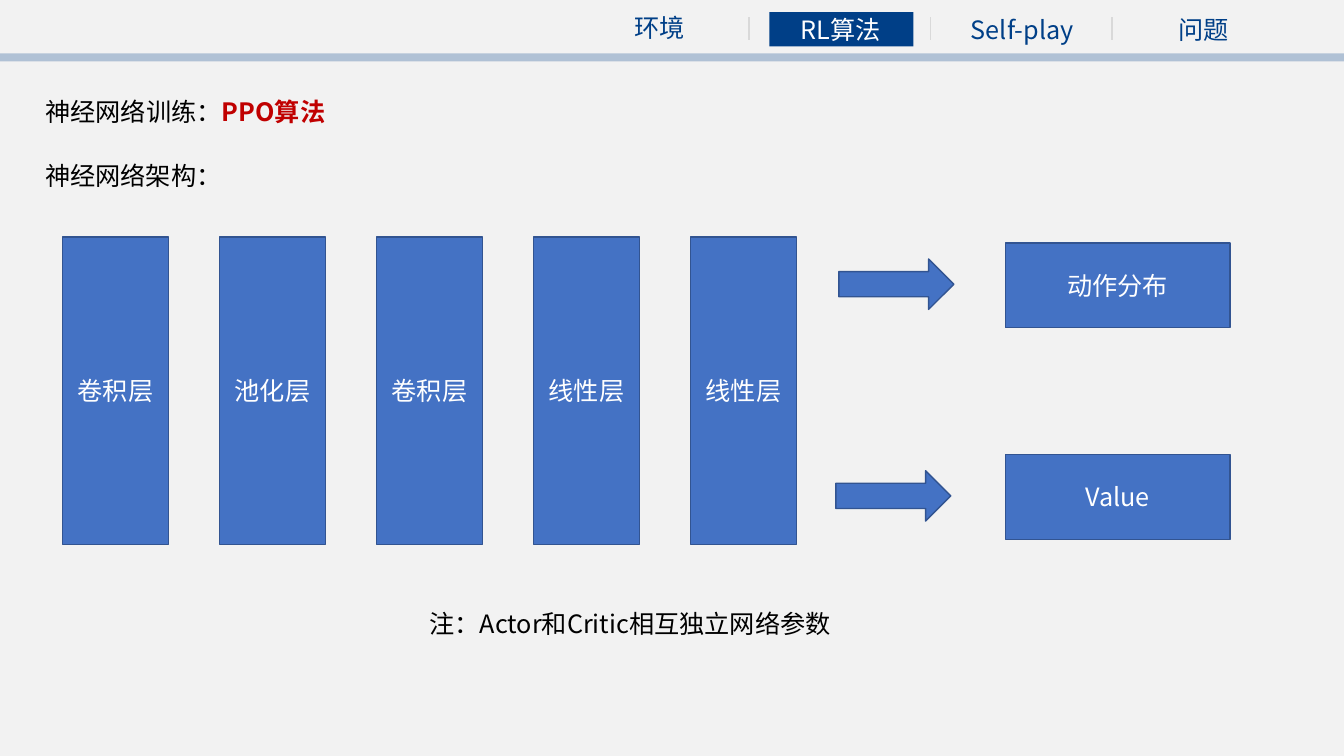
from dataclasses import dataclass

from lxml.etree import SubElement
from pptx import Presentation
from pptx.dml.color import RGBColor
from pptx.enum.shapes import MSO_CONNECTOR as LINE, MSO_SHAPE as SHAPE
from pptx.enum.text import MSO_ANCHOR as ANCHOR, MSO_AUTO_SIZE as FIT, PP_ALIGN as ALIGN
from pptx.oxml.ns import qn
from pptx.util import Inches, Pt


@dataclass(frozen=True)
class Theme:
    """Colours, font and type sizes of the slide."""
    paper: str = "F2F2F2"
    navy: str = "003F87"
    blue: str = "4472C4"
    edge: str = "325491"
    rule: str = "D9D9D9"
    red: str = "C00000"
    black: str = "000000"
    white: str = "FFFFFF"
    font: str = "Noto Sans CJK SC"
    size: int = 18


T = Theme()


def rgb(code):
    """Turn a hex code into a colour."""
    return RGBColor.from_string(code)


def write(sp, runs, align=ALIGN.LEFT, anchor=ANCHOR.TOP):
    """Write (text, colour, bold) runs into the frame of a shape."""
    tf = sp.text_frame
    frame = {"word_wrap": True, "auto_size": FIT.NONE, "vertical_anchor": anchor}
    for name, value in frame.items():
        setattr(tf, name, value)
    p = tf.paragraphs[0]
    p.alignment = align
    for text, color, bold in runs:
        r = p.add_run()
        r.text = text
        r.font.color.rgb = rgb(color)
        for name, value in {"name": T.font, "size": Pt(T.size), "bold": bold}.items():
            setattr(r.font, name, value)
        SubElement(r.font._element, qn("a:ea"), typeface=T.font)


def add_text(s, box, text, color=T.black, align=ALIGN.LEFT):
    """Add a text box."""
    sp = s.shapes.add_textbox(*map(Inches, box))
    write(sp, [(text, color, False)], align)


def add_block(s, box, fill, edge=None, text="", kind=SHAPE.RECTANGLE):
    """Add a flat filled shape with an optional outline and label."""
    sp = s.shapes.add_shape(kind, *map(Inches, box))
    sp.shadow.inherit = False
    sp.fill.solid()
    sp.fill.fore_color.rgb = rgb(fill)
    if edge:
        sp.line.color.rgb = rgb(edge)
        sp.line.width = Pt(1)
    else:
        sp.line.fill.background()
    if text:
        write(sp, [(text, T.white, False)], ALIGN.CENTER, ANCHOR.MIDDLE)
    return sp


def add_navigation(s, box, labels, current):
    """Draw the section tabs, their dividers and the band under them."""
    x, y, w, h = box
    band = add_block(s, (0, y + 0.53, x + w, 0.08), T.navy)
    color = band.fill._xPr.find(qn("a:solidFill")).find(qn("a:srgbClr"))
    SubElement(color, qn("a:alpha"), val="27000")
    pitch = 1.8
    for i, label in enumerate(labels):
        left = x + i * pitch
        if i == current:
            add_block(s, (left - 0.09, y + 0.12, 1.43, 0.34), T.navy)
        if i:
            at = left - 0.29
            cx = s.shapes.add_connector(
                LINE.STRAIGHT, *map(Inches, (at, y + 0.17, at, y + 0.4)))
            cx.line.color.rgb = rgb(T.rule)
            cx.line.width = Pt(1)
            SubElement(cx._element.spPr, qn("a:effectLst"))
        add_text(s, (left, y + (0.09 if i else 0.07), 1.24, 0.4), label,
                 T.white if i == current else T.navy, ALIGN.CENTER)


def add_headings(s, box):
    """Place the title and the subheading below it."""
    x, y, w, h = box
    title = s.shapes.title
    place = {"left": x, "top": y, "width": w, "height": 0.4}
    for name, value in place.items():
        setattr(title, name, Inches(value))
    write(title, [("神经网络训练：", T.black, False), ("PPO算法", T.red, True)])
    add_text(s, (x, y + h - 0.4, w, 0.4), "神经网络架构：")


def add_layers(s, box, labels):
    """Spread the network layers evenly across the box."""
    x, y, w, h = box
    width = 1.05
    pitch = (w - width) / (len(labels) - 1)
    for i, label in enumerate(labels):
        add_block(s, (x + i * pitch, y, width, h), T.blue, T.edge, label)


def add_outputs(s, box, outputs):
    """Stack the outputs in the box, each with its arrow."""
    x, y, w, h = box
    height = 0.84
    pitch = (h - height) / (len(outputs) - 1)
    for i, (label, indent) in enumerate(outputs):
        top = y + i * pitch
        add_block(s, (x + indent, top + 0.16, 1.14, 0.5), T.blue, T.edge,
                  kind=SHAPE.RIGHT_ARROW)
        add_block(s, (x + w - 2.23, top, 2.23, height), T.blue, T.edge, label)


def main():
    """Build the slide and save it."""
    prs = Presentation()
    prs.slide_width, prs.slide_height = Inches(13.33), Inches(7.5)
    s = prs.slides.add_slide(prs.slide_layouts[5])
    s.background.fill.solid()
    s.background.fill.fore_color.rgb = rgb(T.paper)
    add_navigation(s, (5.92, 0, 7.41, 0.61), ["环境", "RL算法", "Self-play", "问题"], 1)
    add_headings(s, (0.35, 0.91, 4.27, 1.03))
    add_layers(s, (0.62, 2.35, 7.28, 3.05),
               ["卷积层", "池化层", "卷积层", "线性层", "线性层"])
    add_outputs(s, (8.29, 2.41, 3.91, 2.94), [("动作分布", 0.03), ("Value", 0)])
    add_text(s, (4.16, 5.99, 4.35, 0.4), "注：Actor和Critic相互独立网络参数")
    prs.save("out.pptx")


if __name__ == "__main__":
    main()
